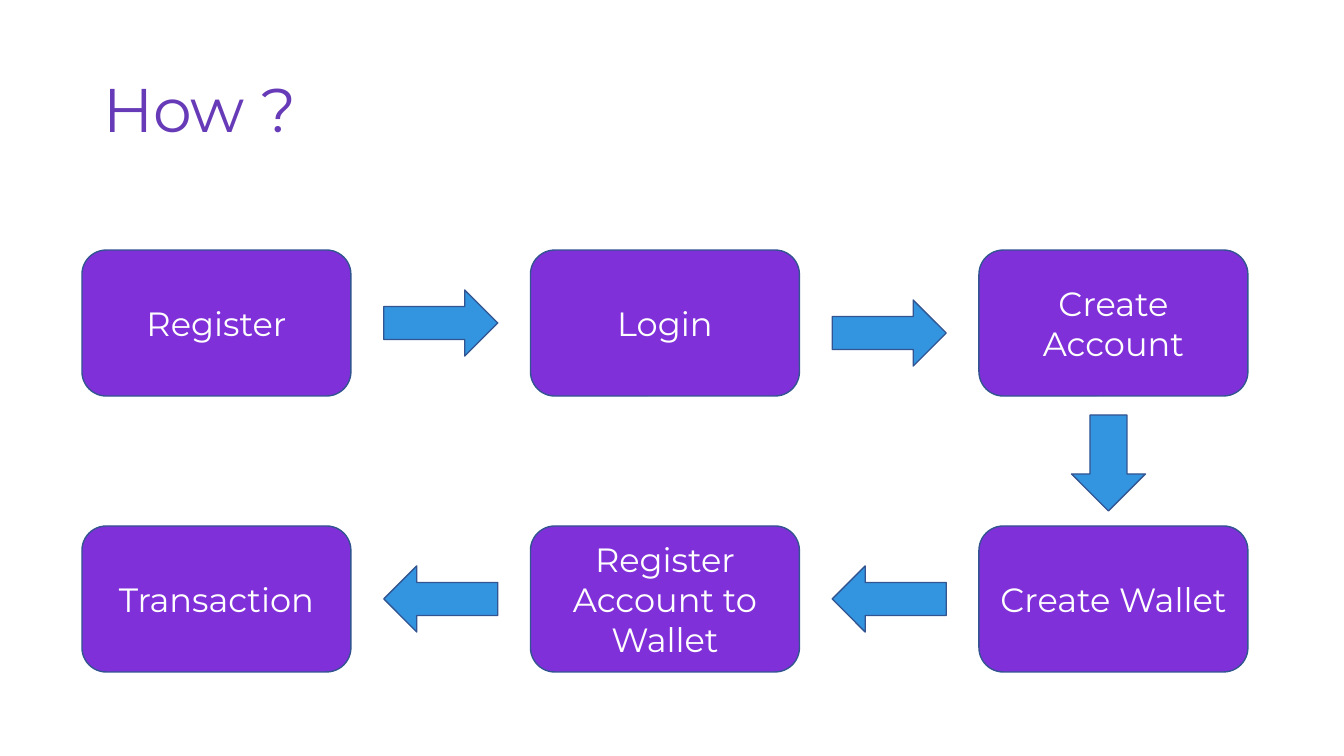
from pptx import Presentation
from pptx import util as u
from pptx.dml.color import RGBColor
from pptx.enum import shapes, text

PURPLE = RGBColor(0x80, 0x30, 0xD8)
BLUE = RGBColor(0x33, 0x95, 0xE0)
OUTLINE = RGBColor(0x32, 0x54, 0x91)
TITLE = RGBColor(0x67, 0x3A, 0xB7)
WHITE = RGBColor(0xFF, 0xFF, 0xFF)
FONT = "Montserrat"
KIND = shapes.MSO_SHAPE

STEP_W, STEP_H = 269, 146
ARROW_W, ARROW_H = 114, 66
DOWN_W, DOWN_H = 74, 96

# Label, column, row
STEPS = [
    ("Register", 0, 0), ("Login", 1, 0), ("Create Account", 2, 0),
    ("Create Wallet", 2, 1), ("Register Account to Wallet", 1, 1),
    ("Transaction", 0, 1),
]


def px(n):
    return u.Emu(round(n * 914400 / 100.8))


def add_run(p, label, size, color):
    r = p.add_run()
    r.text = label
    r.font.name = FONT
    r.font.size = u.Pt(size)
    r.font.color.rgb = color


def add_block(s, kind, box, fill):
    sp = s.shapes.add_shape(kind, *map(px, box))
    sp.shadow.inherit = False
    sp.fill.solid()
    sp.fill.fore_color.rgb = fill
    sp.line.color.rgb = OUTLINE
    sp.line.width = u.Pt(1)
    return sp


def add_title(s, box):
    sp = s.shapes.title
    sp.left, sp.top, sp.width, sp.height = map(px, box)
    tf = sp.text_frame
    tf.word_wrap = True
    tf.vertical_anchor = text.MSO_ANCHOR.MIDDLE
    p = tf.paragraphs[0]
    p.alignment = text.PP_ALIGN.LEFT
    p.line_spacing = 0.9
    add_run(p, "How ?", 44, TITLE)


def add_step(s, label, box):
    tf = add_block(s, KIND.ROUNDED_RECTANGLE, box, PURPLE).text_frame
    tf.word_wrap = True
    tf.vertical_anchor = text.MSO_ANCHOR.MIDDLE
    p = tf.paragraphs[0]
    p.alignment = text.PP_ALIGN.CENTER
    add_run(p, label, 24, WHITE)


def add_flow(s, box):
    x, y, w, h = box
    pitch_x, pitch_y = (w - STEP_W) / 2, h - STEP_H

    # Steps, clockwise from the top left
    for label, col, row in STEPS:
        add_step(s, label, (x + col * pitch_x, y + row * pitch_y, STEP_W, STEP_H))

    # Horizontal arrows, centred in the gaps; the second sits a little lower
    for col, row, drop in ((0, 0, 0), (1, 0, 10), (1, 1, 0), (0, 1, 0)):
        kind = KIND.LEFT_ARROW if row else KIND.RIGHT_ARROW
        left = x + col * pitch_x + (STEP_W + pitch_x - ARROW_W) / 2
        top = y + row * pitch_y + (STEP_H - ARROW_H) / 2 + drop
        add_block(s, kind, (left, top, ARROW_W, ARROW_H), BLUE)

    # Arrow between the rows
    left = x + 2 * pitch_x + (STEP_W - DOWN_W) / 2 - 5
    top = y + (h - DOWN_H) / 2 + 2
    add_block(s, KIND.DOWN_ARROW, (left, top, DOWN_W, DOWN_H), BLUE)


prs = Presentation()
prs.slide_width, prs.slide_height = px(1344), px(756)
s = prs.slides.add_slide(prs.slide_layouts[5])
add_title(s, (93, 40, 1159, 146))
add_flow(s, (82, 250, 1166, 422))
prs.save("out.pptx")
